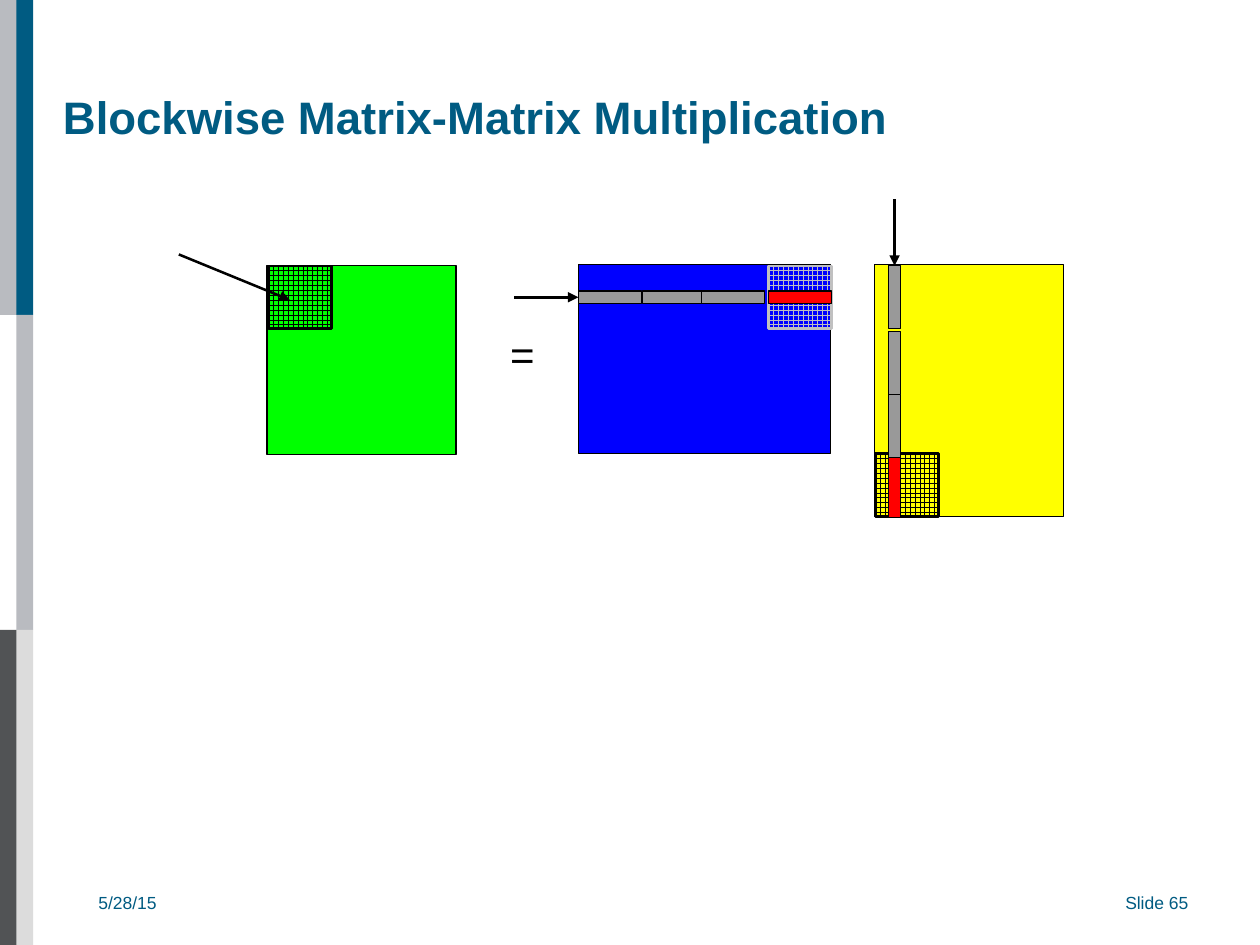
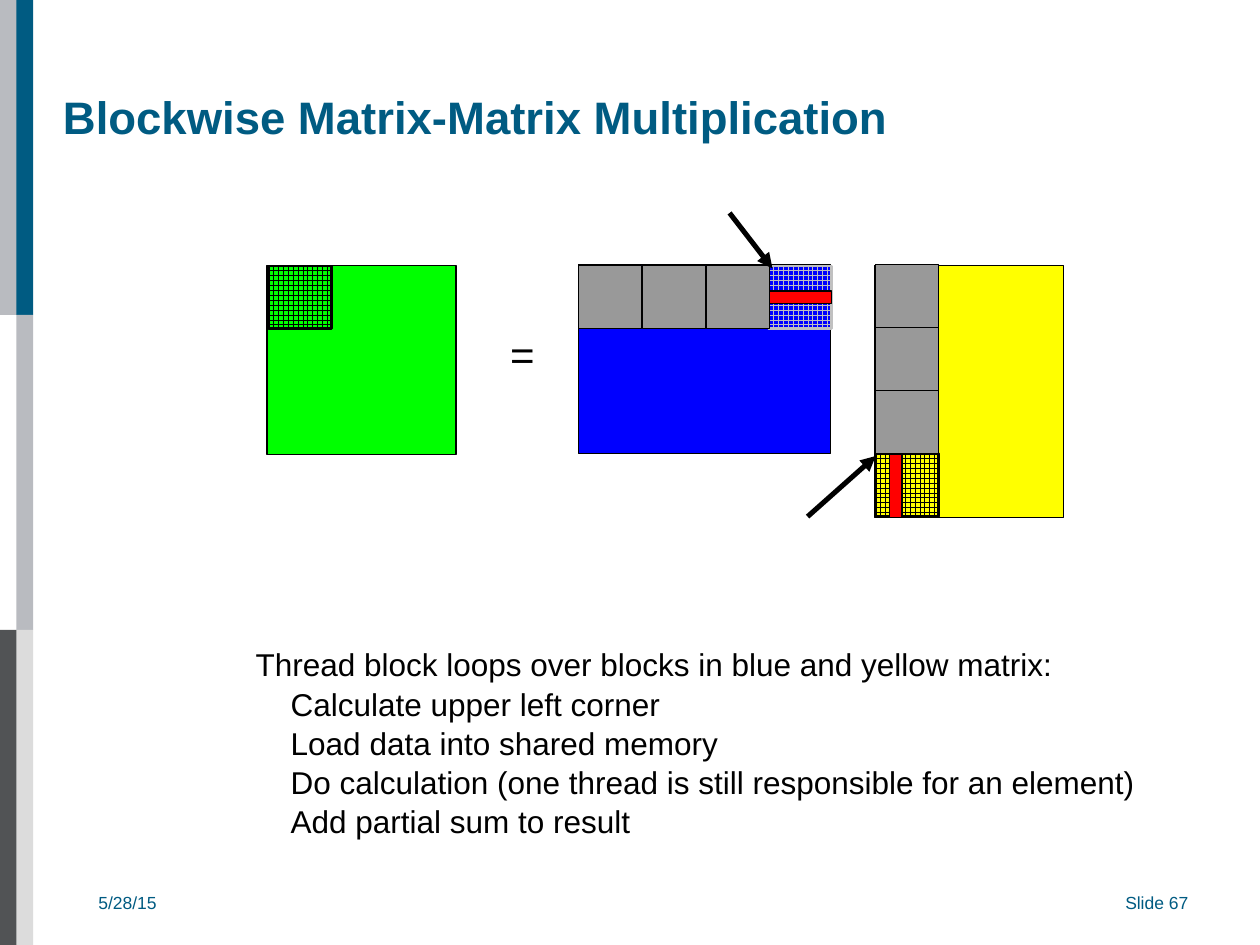
from lxml.etree import SubElement
from pptx import Presentation
from pptx.dml.color import RGBColor
from pptx.enum.dml import MSO_PATTERN
from pptx.enum.shapes import MSO_CONNECTOR, MSO_SHAPE
from pptx.enum.text import MSO_ANCHOR
from pptx.oxml.ns import qn
from pptx.util import Pt

FONT = "Arial"
TEAL, SILVER, SLATE, PALE = "005B82", "B9BBC0", "515355", "DCDCDC"
BLACK, WHITE, GRAY, MESH = "000000", "FFFFFF", "999999", "C0C0C0"
GREEN, BLUE, YELLOW, RED = "00FF00", "0000FF", "FFFF00", "FF0000"

BLOCK = 36          # side of one matrix block
BAR = 7.2           # thickness of one row or column strip
TOP = 151.9         # upper edge of the matrices
BLUE_LEFT, YELLOW_LEFT = 330.5, 500.4
BLUE_STEP = 36.7
LAST_BLUE, LAST_YELLOW = 439.2, 259.2
ROW_TOP, COLUMN_LEFT = 166.3, 507.6


def rgb(hex_color):
    return RGBColor.from_string(hex_color)


class Deck:
    def __init__(self):
        self.presentation = Presentation()
        self.presentation.slide_width = Pt(720)
        self.presentation.slide_height = Pt(540)
        self.slide = None

    def new_slide(self, title, date, number):
        """Start a slide with the side bands, footers and title."""
        layout = self.presentation.slide_layouts[6]
        self.slide = self.presentation.slides.add_slide(layout)
        bands = [(0, 0, SILVER), (0, 2, SLATE),
                 (9.4, 0, TEAL), (9.4, 1, SILVER), (9.4, 2, PALE)]
        for left, third, color in bands:
            self.rect(left, third * 180, 9.6, 180, color, outline=None)
        self.text(56.2, 509.8, 40, 12, [date], 10, TEAL)
        self.text(643, 509.8, 70, 12, [f"Slide {number}"], 10, TEAL)
        self.text(36, 25.2, 648, 82.8, [title], 26, TEAL, bold=True,
                  anchor=MSO_ANCHOR.MIDDLE)

    def rect(self, left, top, width, height, fill, outline=BLACK, weight=0):
        box = self.slide.shapes.add_shape(
            MSO_SHAPE.RECTANGLE, Pt(left), Pt(top), Pt(width), Pt(height))
        box.shadow.inherit = False
        if fill:
            box.fill.solid()
            box.fill.fore_color.rgb = rgb(fill)
        if outline:
            box.line.color.rgb = rgb(outline)
            box.line.width = Pt(weight)
        else:
            box.line.fill.background()
        return box

    def grid_block(self, left, top, color):
        """Draw a block with a grid pattern on a see-through ground."""
        block = self.rect(left, top, BLOCK, BLOCK, None, color, 1.45)
        block.fill.patterned()
        block.fill.pattern = MSO_PATTERN.LARGE_GRID
        block.fill.fore_color.rgb = rgb(color)
        block.fill.back_color.rgb = rgb(WHITE)
        ground = block._element.spPr.find(".//" + qn("a:bgClr"))
        SubElement(ground[0], qn("a:alpha"), val="0")

    def arrow(self, start, end, weight, target=None, side=0):
        """Draw an arrow, joined to a side of target if one is given."""
        line = self.slide.shapes.add_connector(
            MSO_CONNECTOR.STRAIGHT, *(Pt(v) for v in (*start, *end)))
        if target is not None:
            line.end_connect(target, side)
        line.line.color.rgb = rgb(BLACK)
        line.line.width = Pt(weight)
        SubElement(line.line._get_or_add_ln(), qn("a:tailEnd"), type="triangle")
        SubElement(line._element.spPr, qn("a:effectLst"))

    def text(self, left, top, width, height, lines, size, color, bold=False,
             anchor=MSO_ANCHOR.TOP, inset=(0, 0), spacing=None, indent=0):
        """Write lines; those after the first are indented."""
        frame = self.slide.shapes.add_textbox(
            Pt(left), Pt(top), Pt(width), Pt(height)).text_frame
        frame.word_wrap = True
        frame.vertical_anchor = anchor
        frame.margin_left = frame.margin_right = Pt(inset[0])
        frame.margin_top = frame.margin_bottom = Pt(inset[1])
        for index, line in enumerate(lines):
            paragraph = frame.add_paragraph() if index else frame.paragraphs[0]
            if index and indent:
                paragraph._p.get_or_add_pPr().set("marL", str(Pt(indent)))
            if spacing:
                paragraph.line_spacing = spacing
            run = paragraph.add_run()
            run.text = line
            run.font.name = FONT
            run.font.size = Pt(size)
            run.font.bold = bold
            run.font.color.rgb = rgb(color)

    def matrices(self, yellow_top):
        """Draw green = blue times yellow, each with its gridded block."""
        self.rect(BLUE_LEFT, 151.2, 4 * BLOCK, 3 * BLOCK, BLUE)
        self.rect(499.7, yellow_top, 3 * BLOCK, 4 * BLOCK, YELLOW)
        self.rect(152.6, TOP, 3 * BLOCK, 3 * BLOCK, GREEN)
        self.text(284.4, 184.3, 30, 36, ["="], 24, BLACK, inset=(7.2, 3.6))
        self.grid_block(YELLOW_LEFT, LAST_YELLOW, BLACK)
        self.grid_block(153.4, TOP, BLACK)
        self.grid_block(LAST_BLUE, TOP, MESH)

    def row_strip(self, left, color):
        return self.rect(left, ROW_TOP, BLOCK, BAR, color)

    def column_strip(self, top, color, left=COLUMN_LEFT):
        return self.rect(left, top, BAR, BLOCK, color)


def strips_slide(deck, title, date):
    deck.new_slide(title, date, 65)
    deck.matrices(yellow_top=151.2)
    deck.arrow((102.2, 145.4), (165.6, 171.4), 1.45)
    deck.column_strip(259.9, RED)
    deck.row_strip(LAST_BLUE, RED)
    row = [deck.row_strip(left, GRAY) for left in (BLUE_LEFT, 367.2, 401)]
    column = [deck.column_strip(top, GRAY) for top in (TOP, 189.4, 225.4)]
    deck.arrow((293.8, 169.9), (BLUE_LEFT, 169.9), 1.45, row[0], 1)
    deck.arrow((511.2, 113.8), (511.2, TOP), 1.45, column[0], 0)


def blocks_slide(deck, title, date):
    deck.new_slide(title, date, 67)
    deck.matrices(yellow_top=TOP)
    deck.column_strip(LAST_YELLOW + 0.7, RED, left=508.3)
    deck.row_strip(LAST_BLUE, RED)
    for index in range(3):
        deck.rect(BLUE_LEFT + index * BLUE_STEP, TOP, BLOCK, BLOCK, GRAY)
        deck.rect(YELLOW_LEFT, 151.2 + index * BLOCK, BLOCK, BLOCK, GRAY)
    deck.arrow((416.9, 121.7), (441.4, 153.4), 2.89)
    deck.arrow((461.5, 295.2), (500.4, 260.6), 2.89)
    deck.text(139, 364.3, 530, 137, [
        "Thread block loops over blocks in blue and yellow matrix:",
        "Calculate upper left corner",
        "Load data into shared memory",
        "Do calculation (one thread is still responsible for an element)",
        "Add partial sum to result",
    ], 18, BLACK, inset=(7.2, 3.6), spacing=1.04, indent=20)


def main():
    deck = Deck()
    for build in (strips_slide, blocks_slide):
        build(deck, "Blockwise Matrix-Matrix Multiplication", "5/28/15")
    deck.presentation.save("out.pptx")


if __name__ == "__main__":
    main()
